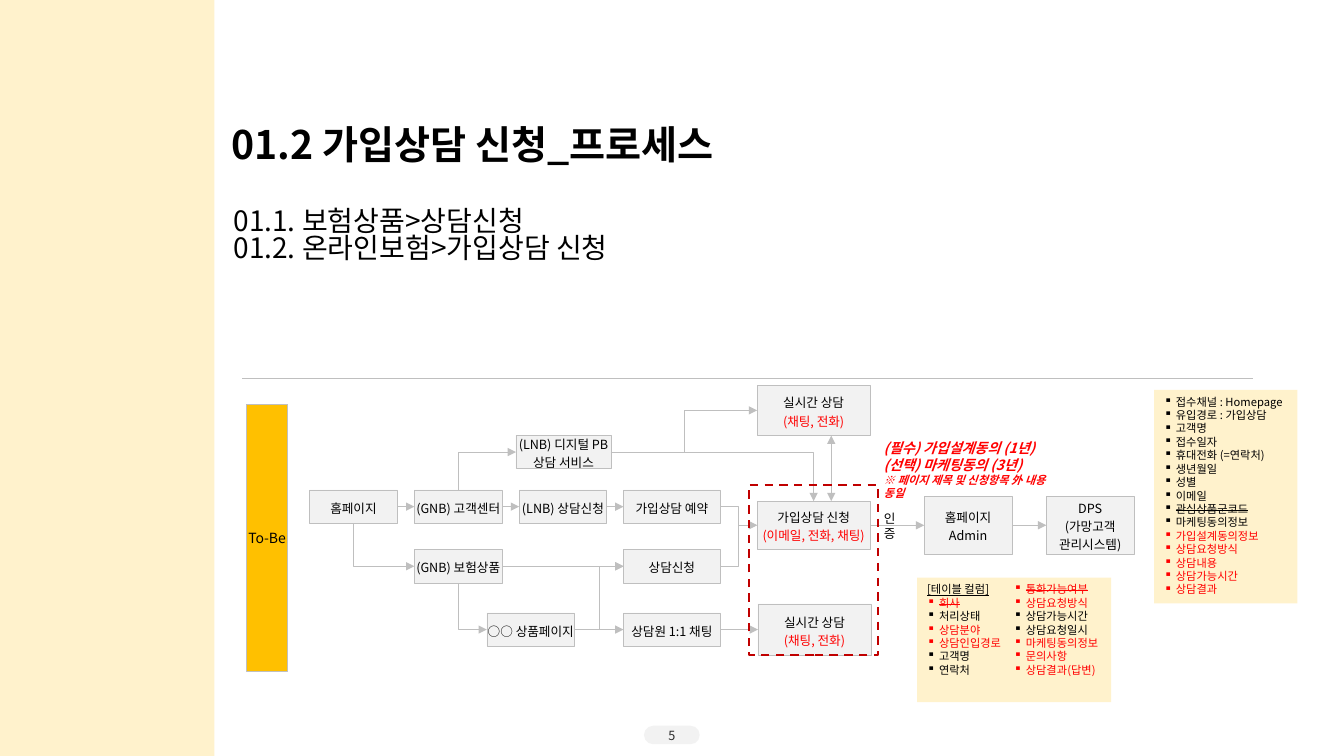
from lxml.etree import SubElement
from pptx import Presentation
from pptx.dml.color import RGBColor
from pptx.enum.dml import MSO_LINE
from pptx.enum.shapes import MSO_CONNECTOR, MSO_SHAPE
from pptx.enum.text import MSO_ANCHOR, MSO_AUTO_SIZE, PP_ALIGN
from pptx.oxml.ns import qn
from pptx.util import Pt

BLACK = RGBColor(0x00, 0x00, 0x00)
RED = RGBColor(0xFF, 0x00, 0x00)
DARK_RED = RGBColor(0xC0, 0x00, 0x00)
CHARCOAL = RGBColor(0x29, 0x29, 0x29)
GRAY = RGBColor(0xBF, 0xBF, 0xBF)
PALE_GRAY = RGBColor(0xF2, 0xF2, 0xF2)
CREAM = RGBColor(0xFF, 0xF2, 0xCC)
AMBER = RGBColor(0xFF, 0xC0, 0x00)
FONT = "Noto Sans CJK KR"
TOP, LEFT, BOTTOM, RIGHT = range(4)
STRAIGHT, ELBOW = MSO_CONNECTOR.STRAIGHT, MSO_CONNECTOR.ELBOW


def style_paragraph(para, size, color=BLACK, spacing=1.0, align=PP_ALIGN.LEFT):
    para.alignment = align
    para.line_spacing = spacing
    para.font.size = Pt(size)
    para.font.color.rgb = color
    para.font.name = FONT
    SubElement(para.font._element, qn("a:ea"), typeface=FONT)


def style_line(line, *arrow_ends):
    """Draw a thin gray line with triangles at the named ends."""
    line.line.color.rgb = GRAY
    line.line.width = Pt(0.5)
    properties = line._element.spPr
    for end in arrow_ends:
        SubElement(properties.find(qn("a:ln")), qn("a:" + end), type="triangle")
    SubElement(properties, qn("a:effectLst"))


deck = Presentation()
deck.slide_width, deck.slide_height = Pt(960), Pt(540)
page = deck.slides.add_slide(deck.slide_layouts[5])
shapes = page.shapes

# Title and subtitle
title = shapes.title
title.left, title.top, title.width, title.height = Pt(158.4), Pt(86.4), Pt(790), Pt(60)
title.text_frame.text = "01.2 가입상담 신청_프로세스"
title.text_frame.auto_size = MSO_AUTO_SIZE.NONE
title.text_frame.vertical_anchor = MSO_ANCHOR.TOP
style_paragraph(title.text_frame.paragraphs[0], 28, spacing=0.9)
title.text_frame.paragraphs[0].font.bold = True

subtitle = shapes.add_textbox(Pt(166.8), Pt(149.8), Pt(565), Pt(41)).text_frame
subtitle.word_wrap = True
subtitle.margin_left = subtitle.margin_right = subtitle.margin_top = subtitle.margin_bottom = 0
subtitle.text = "01.1. 보험상품>상담신청\n01.2. 온라인보험>가입상담 신청"
for para in subtitle.paragraphs:
    style_paragraph(para, 20, spacing=0.8)

# Plain panels: left, top, width, height, fill, text, size, text colour
panels = [
    (MSO_SHAPE.RECTANGLE, 0, 0, 153.2, 540, CREAM, "", 9, BLACK),
    (MSO_SHAPE.ROUNDED_RECTANGLE, 460, 518.4, 39.8, 13.2, PALE_GRAY, "5", 9, CHARCOAL),
    (MSO_SHAPE.RECTANGLE, 176, 288.8, 29.5, 190.4, AMBER, "To-Be", 10, BLACK),
]
for kind, left, top, width, height, fill, text, size, color in panels:
    panel = shapes.add_shape(kind, Pt(left), Pt(top), Pt(width), Pt(height))
    panel.shadow.inherit = False
    panel.fill.solid()
    panel.fill.fore_color.rgb = fill
    panel.line.fill.background()
    if kind == MSO_SHAPE.ROUNDED_RECTANGLE:
        panel.adjustments[0] = 0.5
    if fill == AMBER:
        panel.line.color.rgb = GRAY
        panel.line.width = Pt(0.25)
    if text:
        frame = panel.text_frame
        frame.margin_left = frame.margin_right = frame.margin_top = frame.margin_bottom = 0
        frame.word_wrap = False
        frame.text = text
        style_paragraph(frame.paragraphs[0], size, color, align=PP_ALIGN.CENTER)

rule = shapes.add_connector(STRAIGHT, Pt(173), Pt(270), Pt(895), Pt(270))
style_line(rule)

# Process steps: left, top, width, height, label, red note
steps = {
    "home": (221.2, 350, 62.6, 23.8, "홈페이지", ""),
    "center": (296, 350, 62.6, 23.8, "(GNB) 고객센터", ""),
    "inquiry": (370.8, 350, 62.6, 23.8, "(LNB) 상담신청", ""),
    "booking": (445.4, 350, 69, 23.8, "가입상담 예약", ""),
    "service": (368.6, 311, 67.8, 23.8, "(LNB) 디지털 PB\v상담 서비스", ""),
    "insurance": (296, 392.6, 62.6, 23.8, "(GNB) 보험상품", ""),
    "request": (445.4, 392.6, 69, 23.8, "상담신청", ""),
    "product": (347.8, 437.8, 62.6, 23.8, "○○ 상품페이지", ""),
    "chat": (445.4, 437.8, 69, 23.8, "상담원 1:1 채팅", ""),
    "live_top": (540.8, 275.2, 80.8, 36, "실시간 상담", "(채팅, 전화)"),
    "apply": (540.8, 358, 80.8, 34.4, "가입상담 신청", "(이메일, 전화, 채팅)"),
    "live_bottom": (541.4, 431.4, 80.8, 36.6, "실시간 상담", "(채팅, 전화)"),
    "admin": (660.2, 354.4, 62.6, 41.6, "홈페이지\vAdmin", ""),
    "dps": (747.4, 354.4, 62.6, 41.6, "DPS\v(가망고객\v관리시스템)", ""),
}
boxes = {}
for name, (left, top, width, height, label, note) in steps.items():
    box = shapes.add_shape(MSO_SHAPE.RECTANGLE, Pt(left), Pt(top), Pt(width), Pt(height))
    box.shadow.inherit = False
    box.fill.solid()
    box.fill.fore_color.rgb = PALE_GRAY
    box.line.color.rgb = GRAY
    box.line.width = Pt(0.25)
    frame = box.text_frame
    frame.margin_left = frame.margin_right = frame.margin_top = frame.margin_bottom = 0
    frame.word_wrap = False
    para = frame.paragraphs[0]
    style_paragraph(para, 9, spacing=1.2, align=PP_ALIGN.CENTER)
    para.add_run().text = label.split("\v")[0]
    for part in label.split("\v")[1:]:
        para.add_line_break()
        para.add_run().text = part
    if note:
        para.add_line_break()
        span = para.add_run()
        span.text = note
        span.font.color.rgb = RED
    boxes[name] = box

# Straight and Z-shaped links run from the first box to the second
links = [
    (STRAIGHT, "home", "center"), (STRAIGHT, "center", "inquiry"),
    (STRAIGHT, "inquiry", "booking"), (STRAIGHT, "insurance", "request"),
    (STRAIGHT, "product", "chat"), (STRAIGHT, "chat", "live_bottom"),
    (STRAIGHT, "apply", "admin"), (STRAIGHT, "admin", "dps"),
    (ELBOW, "product", "request"), (ELBOW, "booking", "apply"),
    (ELBOW, "request", "apply"), (ELBOW, "service", "live_top"),
]
for kind, source, target in links:
    link = shapes.add_connector(kind, 0, 0, 0, 0)
    link.begin_connect(boxes[source], RIGHT)
    link.end_connect(boxes[target], LEFT)
    style_line(link, "tailEnd")

# L-shaped links leave the first box horizontally
corners = [
    ("insurance", LEFT, "home", BOTTOM, "headEnd"),
    ("product", LEFT, "insurance", BOTTOM, "headEnd"),
    ("service", LEFT, "center", TOP, "headEnd"),
    ("service", RIGHT, "apply", TOP, "tailEnd"),
]
for first, first_side, second, second_side, arrow_end in corners:
    corner = shapes.add_connector(ELBOW, 0, 0, 0, 0)
    corner.begin_connect(boxes[first], first_side)
    corner.end_connect(boxes[second], second_side)
    corner._element.spPr.find(qn("a:prstGeom")).set("prst", "bentConnector2")
    style_line(corner, arrow_end)

exchange = shapes.add_connector(STRAIGHT, Pt(593.8), Pt(311.2), Pt(593.8), Pt(358))
style_line(exchange, "headEnd", "tailEnd")

consult_frame = shapes.add_shape(MSO_SHAPE.RECTANGLE, Pt(535), Pt(346.4), Pt(92.2), Pt(121.6))
consult_frame.shadow.inherit = False
consult_frame.fill.background()
consult_frame.line.color.rgb = DARK_RED
consult_frame.line.width = Pt(1.5)
consult_frame.line.dash_style = MSO_LINE.DASH

# Consent note and verification label
consent = shapes.add_textbox(Pt(624.2), Pt(310.3), Pt(141.8), Pt(41)).text_frame
consent.word_wrap = True
consent.text = "(필수) 가입설계동의 (1년)\n(선택) 마케팅동의 (3년)"
for para in consent.paragraphs:
    style_paragraph(para, 10, RED)
    para.font.bold = para.font.italic = True
para.add_line_break()
span = para.add_run()
span.text = "※ 페이지 제목 및 신청항목 外 내용 동일"
span.font.size = Pt(8)

verification = shapes.add_textbox(Pt(624.2), Pt(361.4), Pt(30.2), Pt(30)).text_frame
verification.word_wrap = True
verification.text = "인증"
style_paragraph(verification.paragraphs[0], 9)

# Field lists: "r" is red, "s" struck through, "u" an underlined heading
field_lists = [
    (824.4, 278.6, 102.4, 152.4, CREAM, [
        ("접수채널 : Homepage", ""), ("유입경로 : 가입상담", ""), ("고객명", ""),
        ("접수일자", ""), ("휴대전화 (=연락처)", ""), ("생년월일", ""), ("성별", ""),
        ("이메일", ""), ("관심상품군코드", "s"), ("마케팅동의정보", ""),
        ("가입설계동의정보", "r"), ("상담요청방식", "r"), ("상담내용", "r"),
        ("상담가능시간", "r"), ("상담결과", "r")]),
    (655.2, 412.6, 138.6, 89, CREAM, [
        ("[테이블 컬럼]", "u"), ("회사", "rs"), ("처리상태", ""), ("상담분야", "r"),
        ("상담인입경로", "r"), ("고객명", ""), ("연락처", "")]),
    (717.2, 412.6, 76.6, 89, None, [
        ("통화가능여부", "rs"), ("상담요청방식", "r"), ("상담가능시간", ""),
        ("상담요청일시", ""), ("마케팅동의정보", "r"), ("문의사항", "r"),
        ("상담결과(답변)", "r")]),
]
for left, top, width, height, fill, fields in field_lists:
    panel = shapes.add_shape(MSO_SHAPE.RECTANGLE, Pt(left), Pt(top), Pt(width), Pt(height))
    panel.shadow.inherit = False
    panel.line.fill.background()
    panel.fill.background()
    if fill:
        panel.fill.solid()
        panel.fill.fore_color.rgb = fill
    frame = panel.text_frame
    frame.word_wrap = True
    frame.vertical_anchor = MSO_ANCHOR.TOP
    frame.text = "\n".join(text for text, _ in fields)
    for para, (_, marks) in zip(frame.paragraphs, fields):
        properties = para._p.get_or_add_pPr()
        properties.set("marL", str(Pt(8.5)))
        properties.set("indent", str(Pt(-8.5)))
        if "u" not in marks:
            SubElement(properties, qn("a:buChar"), char="▪")
        style_paragraph(para, 8, RED if "r" in marks else BLACK)
        if "u" in marks:
            para.font.underline = True
        if "s" in marks:
            para.runs[0].font._element.set("strike", "sngStrike")

deck.save("out.pptx")
